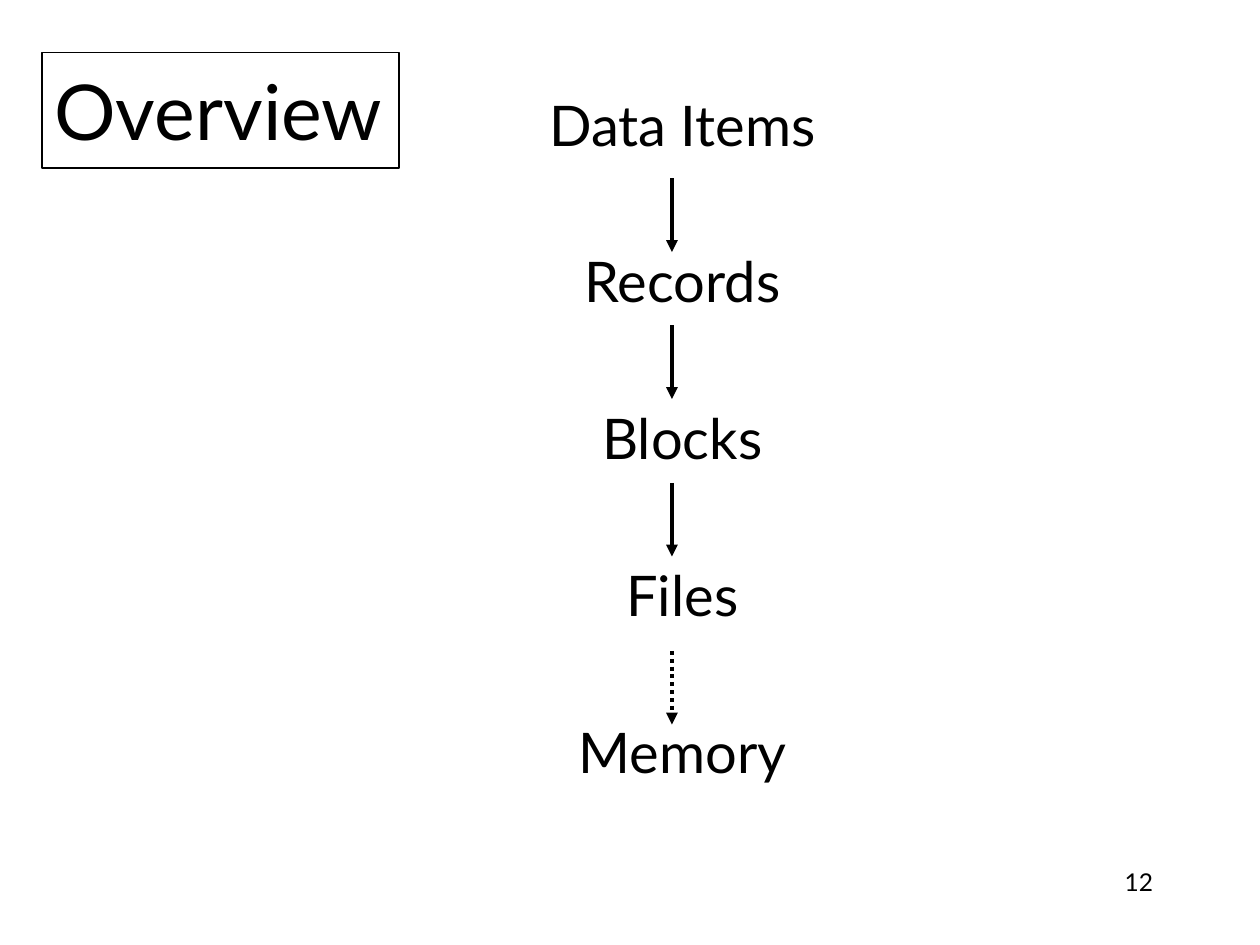
from dataclasses import dataclass

from lxml import etree
from pptx import Presentation
from pptx.dml.color import RGBColor
from pptx.enum.dml import MSO_LINE
from pptx.enum.shapes import MSO_CONNECTOR, MSO_SHAPE
from pptx.enum.text import MSO_ANCHOR, PP_ALIGN
from pptx.oxml.ns import qn
from pptx.util import Inches, Pt

LEFT, MID, RIGHT = PP_ALIGN.LEFT, PP_ALIGN.CENTER, PP_ALIGN.RIGHT
TOP, CORE = MSO_ANCHOR.TOP, MSO_ANCHOR.MIDDLE
RECT, LINE = MSO_SHAPE.RECTANGLE, MSO_CONNECTOR.STRAIGHT
SOLID, DOTS = MSO_LINE.SOLID, MSO_LINE.ROUND_DOT
COLS, ROWS = 120, 90
UNIT = Inches(10) / COLS


@dataclass(frozen=True)
class Theme:
    ink: RGBColor = RGBColor(0, 0, 0)
    paper: RGBColor = RGBColor(255, 255, 255)
    face: str = "Lato"
    head: int = 44
    body: int = 32
    foot: int = 14
    edge: float = 0.75
    stem: float = 2.25
    gap: float = 51.2


@dataclass(frozen=True)
class Block:
    col: int
    row: int
    wide: int
    high: int
    lines: tuple[str, ...]
    size: int
    align: PP_ALIGN
    anchor: MSO_ANCHOR = TOP
    framed: bool = False


@dataclass(frozen=True)
class Arrow:
    row: int
    dash: MSO_LINE = SOLID
    col: int = 64
    high: int = 7


THEME = Theme()
STEPS = ("Data Items", "Records", "Blocks", "Files", "Memory")
BLOCKS = (
    Block(86, 82, 25, 6, ("12",), THEME.foot, RIGHT),
    Block(14, 8, 102, 71, STEPS, THEME.body, MID),
    Block(4, 5, 34, 11, ("Overview",), THEME.head, LEFT, CORE, True),
)
ARROWS = (Arrow(17), Arrow(31), Arrow(46), Arrow(62, DOTS))


def grid(*cells: int) -> list[int]:
    return [round(cell * UNIT) for cell in cells]


def style(item: object, form: dict) -> None:
    for name, value in form.items():
        setattr(item, name, value)


def frame(shape) -> None:
    shape.shadow.inherit = False
    shape.fill.solid()
    shape.fill.fore_color.rgb = THEME.paper
    shape.line.color.rgb = THEME.ink
    shape.line.width = Pt(THEME.edge)


def draw_block(slide, block: Block) -> None:
    area = grid(block.col, block.row, block.wide, block.high)
    if block.framed:
        shape = slide.shapes.add_shape(RECT, *area)
        frame(shape)
    else:
        shape = slide.shapes.add_textbox(*area)
    text = shape.text_frame
    style(text, {"word_wrap": True, "vertical_anchor": block.anchor})
    text.text = "\n".join(block.lines)
    for rank, para in enumerate(text.paragraphs):
        style(para, {"alignment": block.align,
                     "space_before": Pt(THEME.gap if rank else 0)})
        for run in para.runs:
            style(run.font, {"name": THEME.face, "size": Pt(block.size)})
            run.font.color.rgb = THEME.ink


def draw_arrow(slide, arrow: Arrow) -> None:
    ends = grid(arrow.col, arrow.row, arrow.col, arrow.row + arrow.high)
    link = slide.shapes.add_connector(LINE, *ends)
    link.line.color.rgb = THEME.ink
    style(link.line, {"width": Pt(THEME.stem), "dash_style": arrow.dash})
    etree.SubElement(link.line._get_or_add_ln(), qn("a:tailEnd"), type="triangle")
    etree.SubElement(link._element.spPr, qn("a:effectLst"))


def main() -> None:
    deck = Presentation()
    wide, high = grid(COLS, ROWS)
    style(deck, {"slide_width": wide, "slide_height": high})
    slide = deck.slides.add_slide(deck.slide_layouts[6])
    for block in BLOCKS:
        draw_block(slide, block)
    for arrow in ARROWS:
        draw_arrow(slide, arrow)
    deck.save("out.pptx")


if __name__ == "__main__":
    main()
